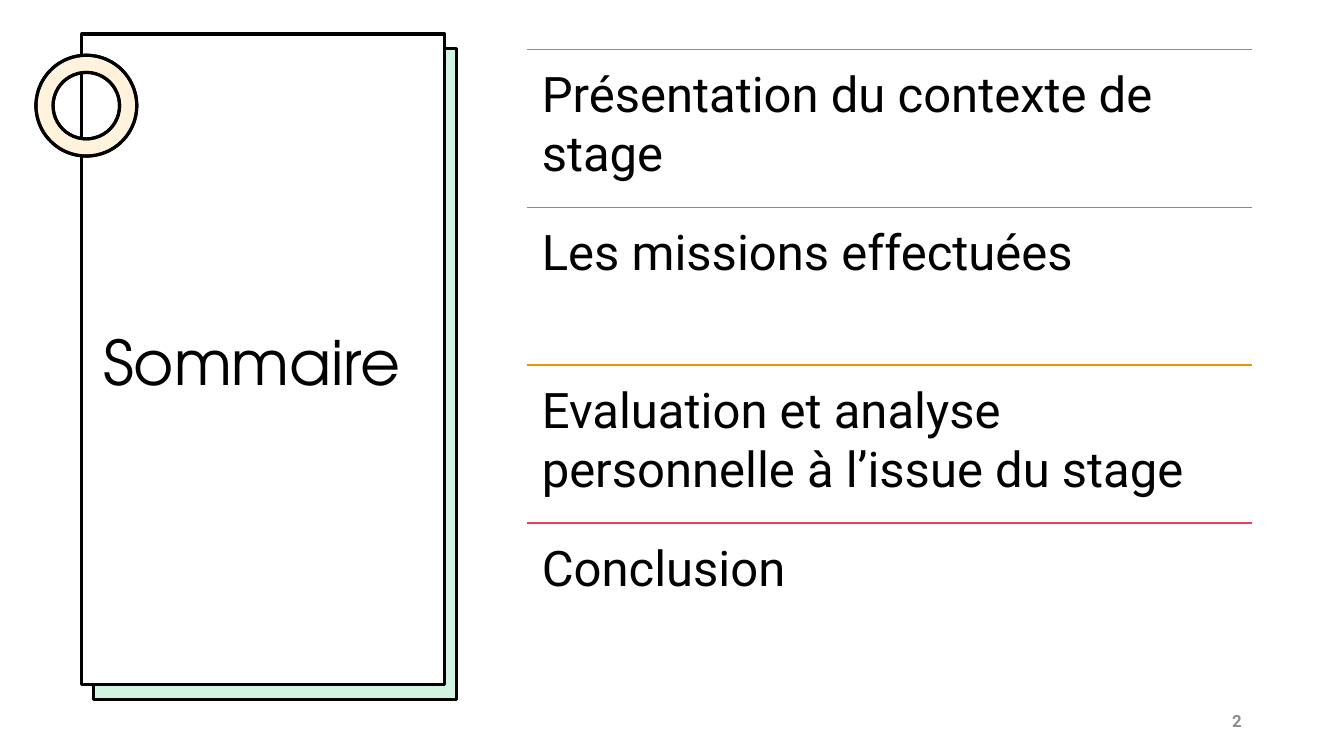
"""Build the summary slide of an internship presentation."""
from dataclasses import dataclass

from lxml import etree
from pptx import Presentation
from pptx import util as u
from pptx.dml.color import RGBColor
from pptx.enum import shapes, text
from pptx.oxml import ns

BLACK = "000000"
WHITE = "FFFFFF"
BODY_FONT = "Roboto"
TITLE_FONT = "TeX Gyre Adventor"


@dataclass(frozen=True)
class Box:
    left: float
    top: float
    width: float
    height: float

    def lengths(self) -> tuple:
        return tuple(u.Pt(v) for v in (self.left, self.top, self.width, self.height))


@dataclass(frozen=True)
class Panel:
    box: Box
    fill: str
    opacity: int = 100
    outlined: bool = True
    preset: shapes.MSO_SHAPE = shapes.MSO_SHAPE.RECTANGLE


@dataclass(frozen=True)
class Label:
    wording: str
    box: Box
    size: float
    color: str = BLACK
    font: str = BODY_FONT
    bold: bool = False
    align: text.PP_ALIGN = text.PP_ALIGN.LEFT
    anchor: text.MSO_ANCHOR = text.MSO_ANCHOR.MIDDLE
    spacing: float = 1.0
    inset_x: float = 7.2
    inset_y: float = 3.6


@dataclass(frozen=True)
class Chapter:
    wording: str
    color: str


RING_BOX = Box(25.7, 39.5, 72, 72)
RING_THICKNESS = 0.17
PANELS = [
    Panel(Box(66.5, 35, 259, 465), WHITE, outlined=False),
    Panel(Box(67, 34.6, 259, 465), "21C46B", opacity=20),
    Panel(Box(58.5, 24.3, 259, 465), WHITE),
    Panel(RING_BOX, WHITE, preset=shapes.MSO_SHAPE.DONUT),
    Panel(RING_BOX, "FFC359", opacity=20, preset=shapes.MSO_SHAPE.DONUT),
]
HEADING = Label("Sommaire", Box(66.5, 94.3, 245, 333.4), 44, font=TITLE_FONT, spacing=0.9)
PAGE_NUMBER = Label("2", Box(678, 500.4, 216, 28.8), 12, color="8C8C8C", bold=True,
                    align=text.PP_ALIGN.RIGHT)
CHAPTERS = [
    Chapter("Présentation du contexte de stage", "1EB9D3"),
    Chapter("Les missions effectuées", "21C46B"),
    Chapter("Evaluation et analyse personnelle à l’issue du stage", "EA9600"),
    Chapter("Conclusion", "F43B56"),
]
CHAPTER_LEFT, CHAPTER_TOP = 376.5, 35.2
CHAPTER_WIDTH, CHAPTER_HEIGHT = 517.7, 112.8


def rgb(color: str) -> RGBColor:
    """Turn a hex string into a colour."""
    return RGBColor.from_string(color)


def draw_panel(slide, panel: Panel) -> None:
    """Draw a filled sheet or ring."""
    shape = slide.shapes.add_shape(panel.preset, *panel.box.lengths())
    shape.shadow.inherit = False
    shape.fill.solid()
    shape.fill.fore_color.rgb = rgb(panel.fill)
    if panel.opacity < 100:
        color = shape.fill._xPr.find(".//" + ns.qn("a:srgbClr"))
        etree.SubElement(color, ns.qn("a:alpha")).set("val", str(panel.opacity * 1000))
    if panel.outlined:
        shape.line.color.rgb = rgb(BLACK)
        shape.line.width = u.Pt(2.25)
    else:
        shape.line.fill.background()
    if panel.preset == shapes.MSO_SHAPE.DONUT:
        shape.adjustments[0] = RING_THICKNESS


def draw_label(slide, label: Label) -> None:
    """Draw a wrapped text box with a single paragraph."""
    frame = slide.shapes.add_textbox(*label.box.lengths()).text_frame
    frame.word_wrap = True
    frame.vertical_anchor = label.anchor
    frame.margin_left = frame.margin_right = u.Pt(label.inset_x)
    frame.margin_top = frame.margin_bottom = u.Pt(label.inset_y)
    frame.text = label.wording
    paragraph = frame.paragraphs[0]
    paragraph.alignment = label.align
    paragraph.line_spacing = label.spacing
    font = paragraph.runs[0].font
    font.name = label.font
    font.size = u.Pt(label.size)
    font.bold = label.bold
    font.color.rgb = rgb(label.color)


def draw_chapter(slide, chapter: Chapter, row: int) -> None:
    """Draw a coloured rule with the chapter name below it."""
    top = CHAPTER_TOP + row * CHAPTER_HEIGHT
    rule = slide.shapes.add_connector(
        shapes.MSO_CONNECTOR.STRAIGHT, u.Pt(CHAPTER_LEFT), u.Pt(top),
        u.Pt(CHAPTER_LEFT + CHAPTER_WIDTH), u.Pt(top))
    rule.line.color.rgb = rgb(chapter.color)
    rule.line.width = u.Pt(1)
    etree.SubElement(rule._element.spPr, ns.qn("a:effectLst"))
    box = Box(CHAPTER_LEFT, top, CHAPTER_WIDTH, CHAPTER_HEIGHT)
    draw_label(slide, Label(chapter.wording, box, 35, anchor=text.MSO_ANCHOR.TOP,
                            inset_x=10.5, inset_y=10.5))


def main() -> None:
    """Assemble and save the slide."""
    deck = Presentation()
    deck.slide_width, deck.slide_height = u.Pt(960), u.Pt(540)
    slide = deck.slides.add_slide(deck.slide_layouts[6])
    for panel in PANELS:
        draw_panel(slide, panel)
    for label in (HEADING, PAGE_NUMBER):
        draw_label(slide, label)
    for row, chapter in enumerate(CHAPTERS):
        draw_chapter(slide, chapter, row)
    deck.save("out.pptx")


if __name__ == "__main__":
    main()
